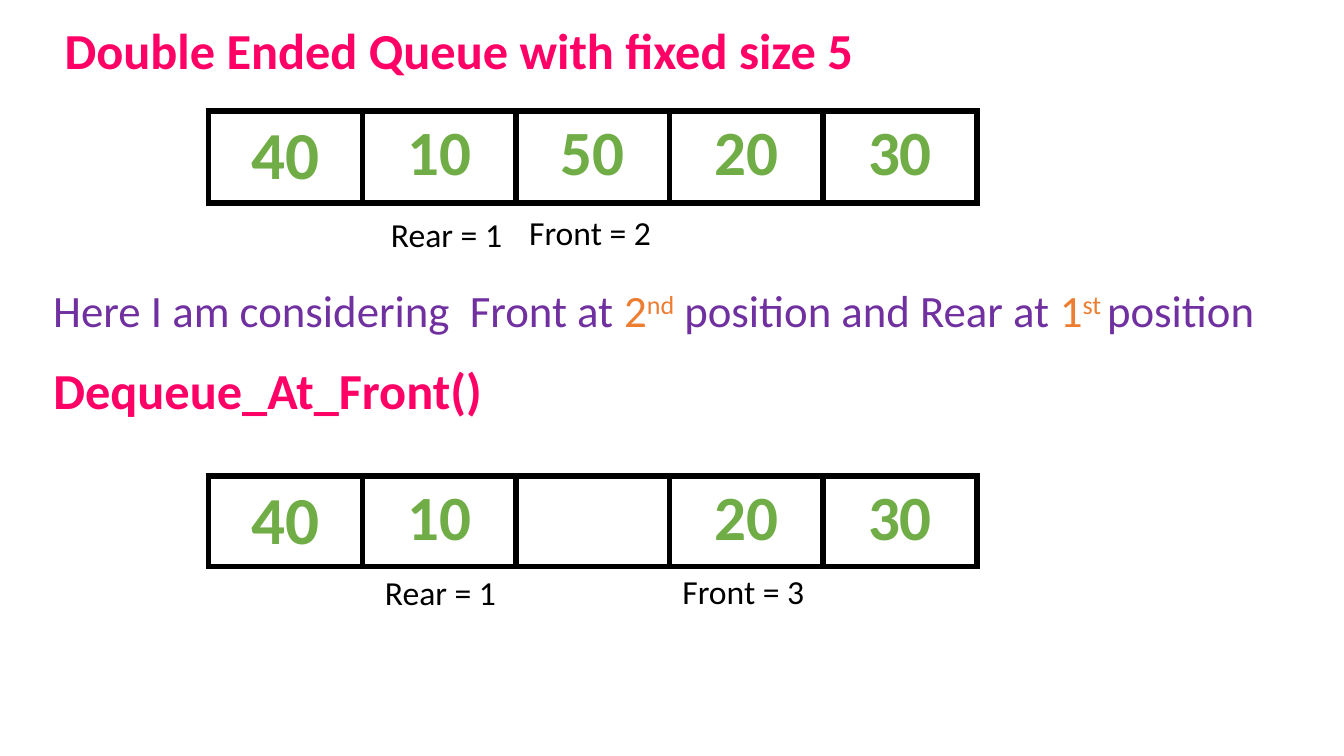
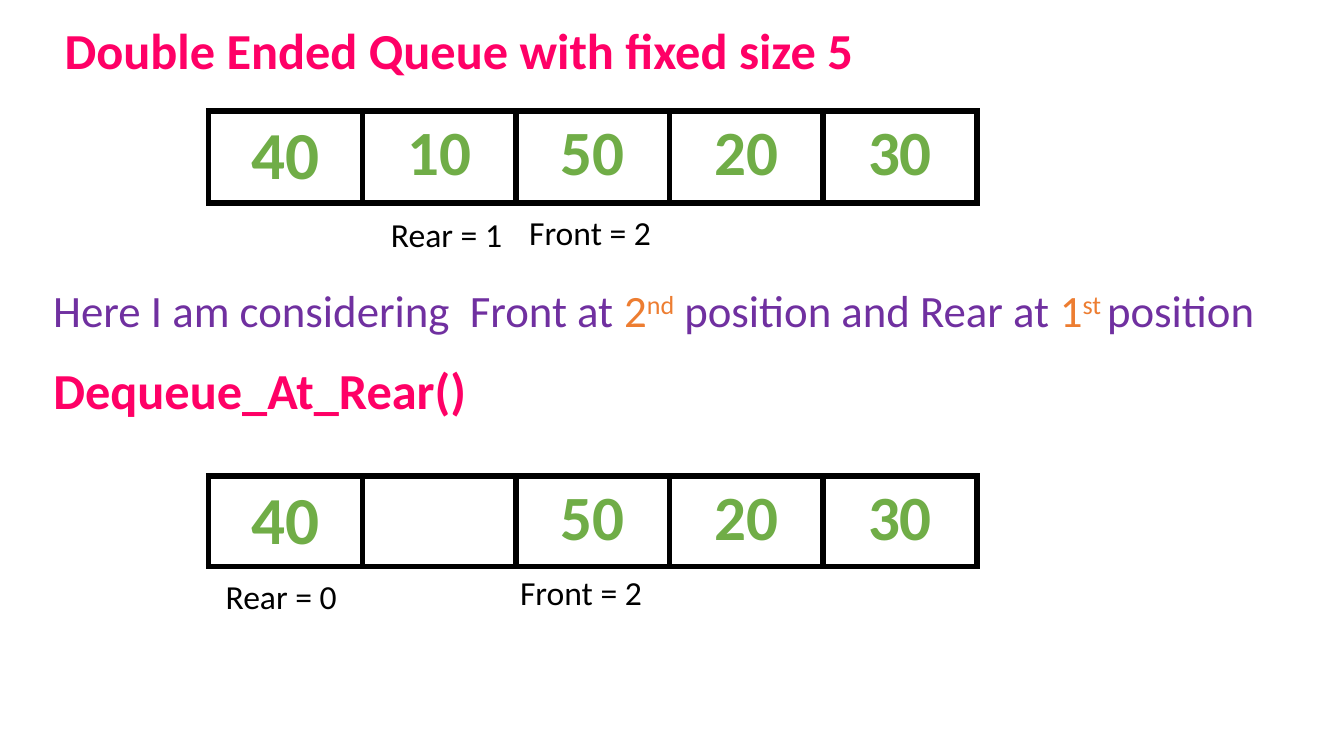
from dataclasses import dataclass

from lxml.etree import SubElement
from pptx import Presentation
from pptx.dml.color import RGBColor
from pptx.enum.text import MSO_ANCHOR, MSO_AUTO_SIZE, PP_ALIGN
from pptx.oxml.ns import qn
from pptx.util import Inches, Pt


@dataclass(frozen=True)
class Theme:
    font: str = "Calibri"
    heading: str = "FF0066"
    sentence: str = "7030A0"
    highlight: str = "ED7D31"
    value: str = "70AD47"
    ink: str = "000000"
    paper: str = "FFFFFF"
    heading_size: float = 36
    sentence_size: float = 32
    pointer_size: float = 24
    first_value_size: float = 48
    value_size: float = 45
    border_width: float = 4.5


@dataclass(frozen=True)
class Box:
    left: float
    top: float
    width: float
    height: float

    def lengths(self):
        return [Inches(n) for n in (self.left, self.top, self.width, self.height)]

    def inner(self, left, top, width, height):
        return Box(self.left + left, self.top + top, width, height)


THEME = Theme()
TITLE_BOX = Box(0.54, 0.14, 8.51, 0.71)
BEFORE_BOX = Box(2.07, 1.1, 7.62, 0.9)
SENTENCE_BOX = Box(0.43, 2.72, 12.8, 0.65)
OPERATION_BOX = Box(0.43, 3.51, 7.65, 0.71)
AFTER_BOX = Box(2.07, 4.72, 7.62, 0.9)

TITLE = "Double Ended Queue with fixed size 5"
START_VALUES = ["40", "10", "50", "20", "30"]
START_POINTERS = [("Front = 2", 3.08, 0.95), ("Rear = 1", 1.71, 0.97)]
SENTENCE = [
    ("Here I am considering  Front at ", THEME.sentence, False),
    ("2", THEME.highlight, False),
    ("nd", THEME.highlight, True),
    (" position and Rear at ", THEME.sentence, False),
    ("1", THEME.highlight, False),
    ("st ", THEME.highlight, True),
    ("position", THEME.sentence, False),
]
OPERATIONS = [
    (
        "Dequeue_At_Front()",
        ["40", "10", "", "20", "30"],
        [("Front = 3", 4.6, 0.89), ("Rear = 1", 1.65, 0.9)],
    ),
    (
        "Dequeue_At_Rear()",
        ["40", "", "50", "20", "30"],
        [("Front = 2", 2.99, 0.9), ("Rear = 0", 0.07, 0.94)],
    ),
]


def style_run(run, size, color, bold=False):
    run.font.name = THEME.font
    run.font.size = Pt(size)
    run.font.bold = bold
    run.font.color.rgb = RGBColor.from_string(color)


def add_text(slide, box, text, size, color, bold=False):
    shape = slide.shapes.add_textbox(*box.lengths())
    shape.text_frame.word_wrap = True
    paragraph = shape.text_frame.paragraphs[0]
    paragraph.text = text
    for run in paragraph.runs:
        style_run(run, size, color, bold)
    return paragraph


def place_title(slide, box):
    title = slide.shapes.title
    title.left, title.top, title.width, title.height = box.lengths()
    text_frame = title.text_frame
    text_frame.text = TITLE
    text_frame.auto_size = MSO_AUTO_SIZE.NONE
    text_frame.vertical_anchor = MSO_ANCHOR.TOP
    paragraph = text_frame.paragraphs[0]
    paragraph.alignment = PP_ALIGN.LEFT
    style_run(paragraph.runs[0], THEME.heading_size, THEME.heading, True)


def add_sentence(slide, box):
    paragraph = add_text(slide, box, "", THEME.sentence_size, THEME.sentence)
    paragraph.line_spacing = 1.07
    paragraph.space_after = Pt(8)
    for text, color, raised in SENTENCE:
        run = paragraph.add_run()
        run.text = text
        style_run(run, THEME.sentence_size, color)
        if raised:
            run.font._element.set("baseline", "30000")


def add_borders(cell):
    properties = cell._tc.get_or_add_tcPr()
    for position, side in enumerate(("lnL", "lnR", "lnT", "lnB")):
        line = SubElement(properties, qn(f"a:{side}"), w=str(Pt(THEME.border_width)))
        fill = SubElement(line, qn("a:solidFill"))
        SubElement(fill, qn("a:srgbClr"), val=THEME.ink)
        properties.insert(position, line)


def add_queue(slide, box, values, pointers):
    table = slide.shapes.add_table(1, len(values), *box.lengths()).table
    table.first_row = False
    table.horz_banding = False
    for index, value in enumerate(values):
        table.columns[index].width = Inches(box.width / len(values))
        cell = table.cell(0, index)
        cell.fill.solid()
        cell.fill.fore_color.rgb = RGBColor.from_string(THEME.paper)
        add_borders(cell)
        cell.vertical_anchor = MSO_ANCHOR.TOP if index else MSO_ANCHOR.MIDDLE
        if value:
            paragraph = cell.text_frame.paragraphs[0]
            paragraph.text = value
            paragraph.alignment = PP_ALIGN.CENTER
            size = THEME.value_size if index else THEME.first_value_size
            style_run(paragraph.runs[0], size, THEME.value, True)
    for text, left, top in pointers:
        pointer_box = box.inner(left, top, 1.73, 0.5)
        add_text(slide, pointer_box, text, THEME.pointer_size, THEME.ink)


def add_operation_slide(presentation, operation, values, pointers):
    slide = presentation.slides.add_slide(presentation.slide_layouts[5])
    place_title(slide, TITLE_BOX)
    add_queue(slide, BEFORE_BOX, START_VALUES, START_POINTERS)
    add_sentence(slide, SENTENCE_BOX)
    add_text(slide, OPERATION_BOX, operation, THEME.heading_size, THEME.heading, True)
    add_queue(slide, AFTER_BOX, values, pointers)


def main():
    presentation = Presentation()
    presentation.slide_width = Inches(13.33)
    presentation.slide_height = Inches(7.5)
    for operation, values, pointers in OPERATIONS:
        add_operation_slide(presentation, operation, values, pointers)
    presentation.save("out.pptx")


if __name__ == "__main__":
    main()
